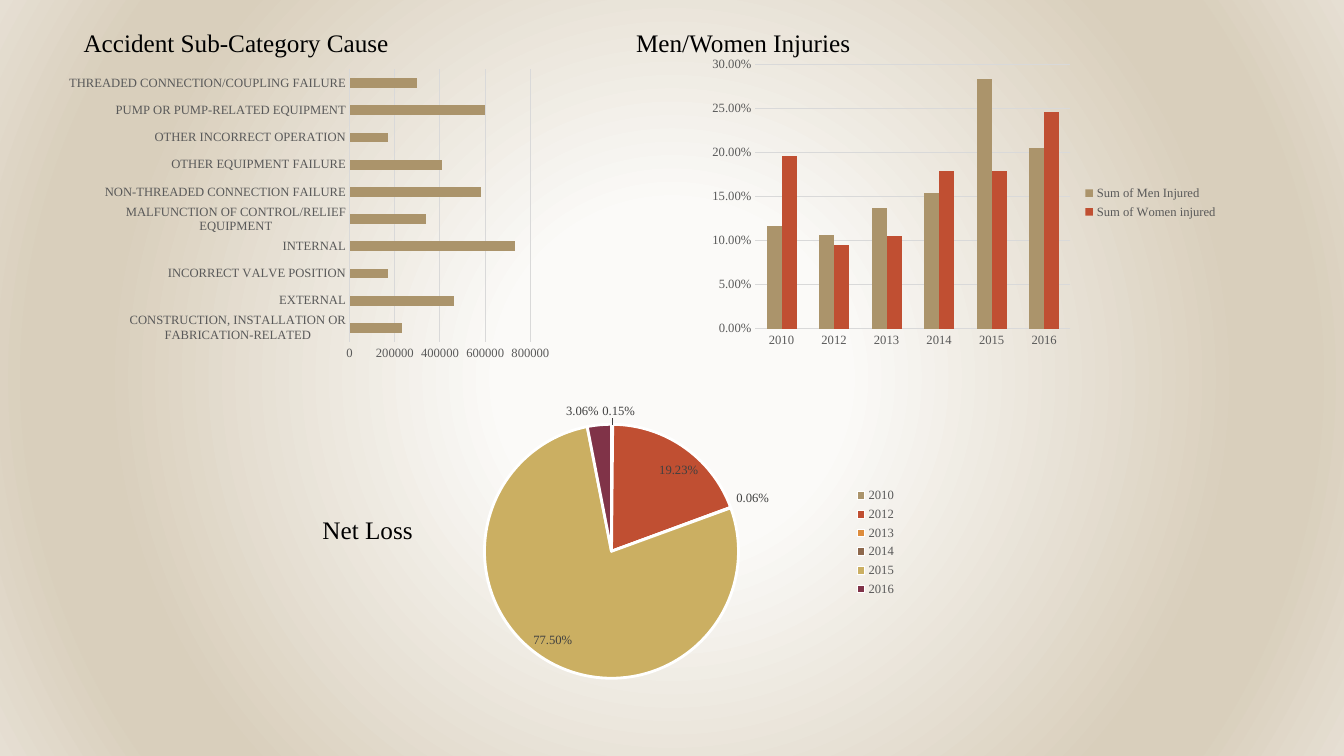
from pptx import Presentation
from pptx.chart.data import CategoryChartData
from pptx.dml.color import RGBColor
from pptx.enum.chart import XL_CHART_TYPE as ChartType
from pptx.enum.chart import XL_LABEL_POSITION as LabelPosition
from pptx.enum.chart import XL_LEGEND_POSITION as LegendPosition
from pptx.enum.chart import XL_TICK_MARK as TickMark
from pptx.enum.text import MSO_AUTO_SIZE as AutoSize
from pptx.oxml import parse_xml
from pptx.oxml.ns import nsdecls, qn
from pptx.util import Inches, Pt

FONT = "Times New Roman"
COLORS = {
    "text": "000000", "muted": "595959", "label": "404040", "grid": "D9D9D9",
    "white": "FFFFFF", "tan": "AB946B", "red": "C04F32", "orange": "DD8C3C",
    "brown": "8E684C", "gold": "CBAF62", "plum": "803348",
}
BACKGROUND_STOPS = {22: "FBFAF8", 74: "D9CFBC", 83: "D9CFBC", 100: "E6DFD3"}
YEARS = ["2010", "2012", "2013", "2014", "2015", "2016"]
CAUSES = {
    "CONSTRUCTION, INSTALLATION OR FABRICATION-RELATED": 230000,
    "EXTERNAL": 460000,
    "INCORRECT VALVE POSITION": 170000,
    "INTERNAL": 730000,
    "MALFUNCTION OF CONTROL/RELIEF EQUIPMENT": 340000,
    "NON-THREADED CONNECTION FAILURE": 580000,
    "OTHER EQUIPMENT FAILURE": 410000,
    "OTHER INCORRECT OPERATION": 170000,
    "PUMP OR PUMP-RELATED EQUIPMENT": 600000,
    "THREADED CONNECTION/COUPLING FAILURE": 300000,
}
INJURIES = {
    "Sum of Men Injured": [0.116, 0.106, 0.137, 0.154, 0.283, 0.205],
    "Sum of Women injured": [0.196, 0.095, 0.105, 0.179, 0.179, 0.246],
}
NET_LOSS = [0.0015, 0.1923, 0.0006, 0, 0.775, 0.0306]
HEADINGS = [
    ("Accident Sub-Category Cause", 0.73, 0.22),
    ("Men/Women Injuries", 6.21, 0.22),
    ("Net Loss", 3.1, 5.05),
]


def rgb(name):
    return RGBColor.from_string(COLORS[name])


def style_font(font, size, color):
    for key, value in {"name": FONT, "size": Pt(size)}.items():
        setattr(font, key, value)
    font.color.rgb = rgb(color)


def style_line(line, color, width):
    line.color.rgb = rgb(color)
    line.width = Pt(width)


def paint_background(page):
    stops = "".join(
        f'<a:gs pos="{percent * 1000}"><a:srgbClr val="{color}"/></a:gs>'
        for percent, color in BACKGROUND_STOPS.items()
    )
    background = parse_xml(
        f'<p:bg {nsdecls("p", "a")}><p:bgPr><a:gradFill rotWithShape="1">'
        f'<a:gsLst>{stops}</a:gsLst><a:path path="circle">'
        '<a:fillToRect l="50000" t="50000" r="50000" b="50000"/></a:path>'
        '</a:gradFill><a:effectLst/></p:bgPr></p:bg>'
    )
    page.element.find(qn("p:cSld")).insert(0, background)


def add_heading(page, text, left, top):
    box = page.shapes.add_textbox(Inches(left), Inches(top), Inches(5.19), Inches(0.4))
    frame = box.text_frame
    frame.word_wrap = True
    frame.auto_size = AutoSize.SHAPE_TO_FIT_TEXT
    span = frame.paragraphs[0].add_run()
    span.text = text
    style_font(span.font, 18, "text")


def place_plot(chart, area):
    parts = "".join(
        f'<c:{key} val="{value}"/>' for key, value in zip("xywh", area)
    )
    layout = parse_xml(
        f'<c:layout {nsdecls("c")}><c:manualLayout><c:layoutTarget val="inner"/>'
        f'<c:xMode val="edge"/><c:yMode val="edge"/>{parts}'
        '</c:manualLayout></c:layout>'
    )
    plot_area = chart.element.find(".//" + qn("c:plotArea"))
    for old in plot_area.findall(qn("c:layout")):
        plot_area.remove(old)
    plot_area.insert(0, layout)


def add_chart(page, kind, place, area, categories, series):
    data = CategoryChartData()
    data.categories = categories
    for name, values in series.items():
        data.add_series(name, values)
    chart = page.shapes.add_chart(kind, *map(Inches, place), data).chart
    chart.has_title = False
    chart.has_legend = False
    style_font(chart.font, 10, "text")
    place_plot(chart, area)
    return chart


def add_legend(chart):
    chart.has_legend = True
    chart.legend.position = LegendPosition.RIGHT
    chart.legend.include_in_layout = False
    style_font(chart.legend.font, 9, "muted")


def style_bars(chart, gap, colors, top_value, step, number_format):
    plot = chart.plots[0]
    plot.gap_width = gap
    plot.overlap = 0
    plot.vary_by_categories = False
    for series, color in zip(plot.series, colors):
        series.format.fill.solid()
        series.format.fill.fore_color.rgb = rgb(color)
    for axis in (chart.category_axis, chart.value_axis):
        axis.major_tick_mark = axis.minor_tick_mark = TickMark.NONE
        axis.format.line.fill.background()
        style_font(axis.tick_labels.font, 9, "muted")
    scale = {"minimum_scale": 0, "maximum_scale": top_value,
             "major_unit": step, "has_major_gridlines": True}
    for key, value in scale.items():
        setattr(chart.value_axis, key, value)
    style_line(chart.value_axis.major_gridlines.format.line, "grid", 0.75)
    chart.value_axis.tick_labels.number_format = number_format
    chart.value_axis.tick_labels.number_format_is_linked = False


def style_pie(chart, colors):
    series = chart.plots[0].series[0]
    for index, color in enumerate(colors):
        wedge = series.points[index].format
        wedge.fill.solid()
        wedge.fill.fore_color.rgb = rgb(color)
        style_line(wedge.line, "white", 2)
    labels = series.data_labels
    settings = {"show_value": True, "number_format": "0.00%",
                "number_format_is_linked": False, "position": LabelPosition.BEST_FIT}
    for key, value in settings.items():
        setattr(labels, key, value)
    style_font(labels.font, 9, "label")
    hidden = parse_xml(
        f'<c:dLbl {nsdecls("c")}><c:idx val="{NET_LOSS.index(0)}"/>'
        '<c:delete val="1"/></c:dLbl>'
    )
    chart.element.find(".//" + qn("c:dLbls")).insert(0, hidden)


def main():
    deck = Presentation()
    deck.slide_width, deck.slide_height = Inches(13.33), Inches(7.5)
    page = deck.slides.add_slide(deck.slide_layouts.get_by_name("Blank"))
    paint_background(page)

    causes = add_chart(page, ChartType.BAR_CLUSTERED, (0.58, 0.63, 4.98, 3),
                       (0.58, 0.02, 0.36, 0.9), list(CAUSES),
                       {"Series 1": list(CAUSES.values())})
    style_bars(causes, 182, ["tan"], 800000, 200000, "General")
    style_line(causes.category_axis.format.line, "grid", 0.75)

    injuries = add_chart(page, ChartType.COLUMN_CLUSTERED, (6.97, 0.52, 5.21, 2.98),
                         (0.1, 0.04, 0.6, 0.88), YEARS, INJURIES)
    style_bars(injuries, 150, ["tan", "red"], 0.3, 0.05, "0.00%")
    add_legend(injuries)

    losses = add_chart(page, ChartType.PIE, (3.99, 3.88, 5, 3),
                       (0.16, 0.11, 0.51, 0.84), YEARS, {"Series 1": NET_LOSS})
    style_pie(losses, ["tan", "red", "orange", "brown", "gold", "plum"])
    add_legend(losses)

    for heading in HEADINGS:
        add_heading(page, *heading)
    deck.save("out.pptx")


if __name__ == "__main__":
    main()
